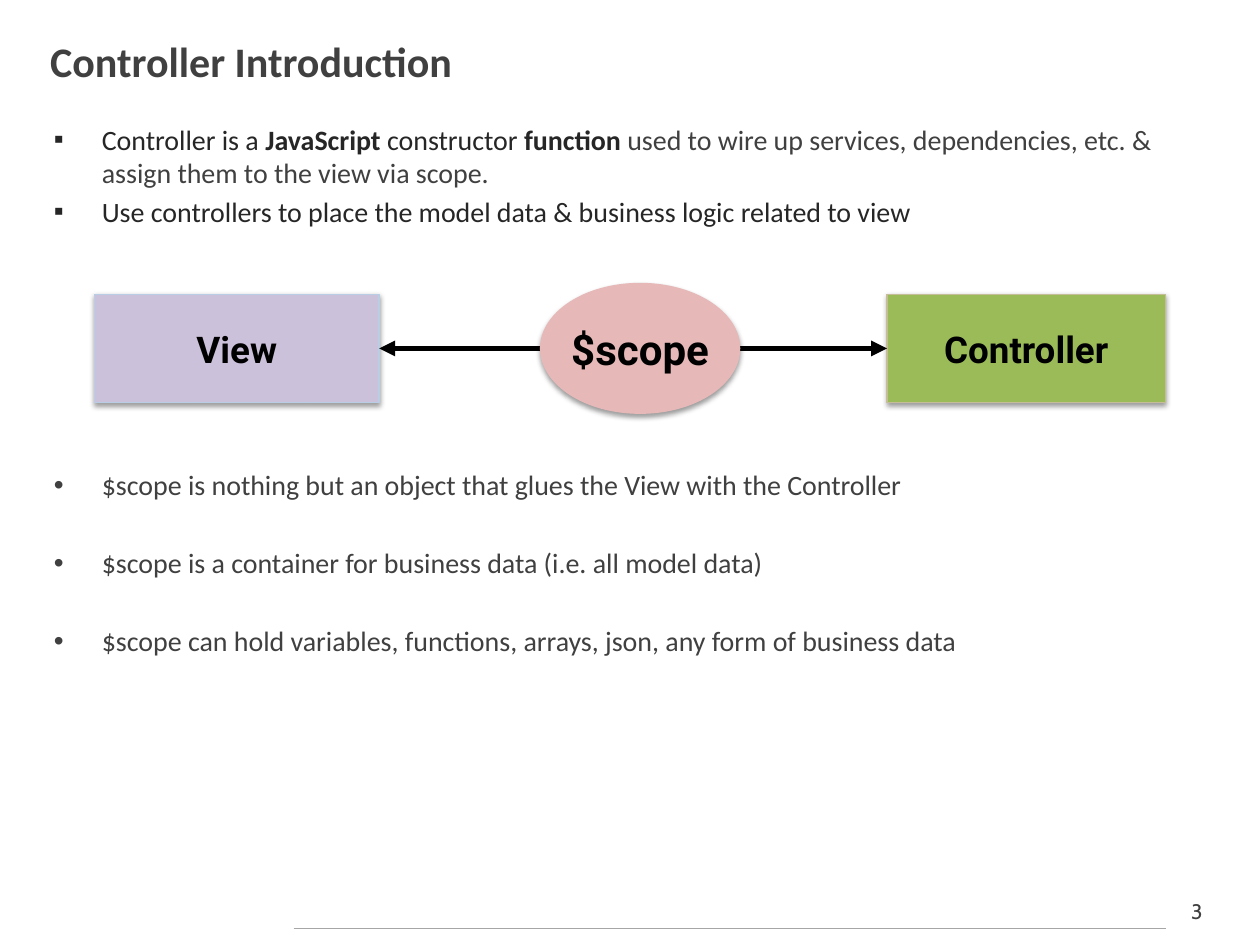
import pptx
import pptx.dml.color
import pptx.enum.shapes
import pptx.enum.text
import pptx.oxml
import pptx.oxml.ns
import pptx.util
from pptx.util import Inches

RGBColor = pptx.dml.color.RGBColor
GRAY = RGBColor(0x40, 0x40, 0x40)
DARK = RGBColor(0x26, 0x26, 0x26)
BLACK = RGBColor(0x00, 0x00, 0x00)
RULE_GRAY = RGBColor(0xA6, 0xA6, 0xA6)
VIEW_FILL = RGBColor(0xCC, 0xC1, 0xDA)
VIEW_LINE = RGBColor(0xB9, 0xCD, 0xE5)
CONTROLLER_FILL = RGBColor(0x9B, 0xBB, 0x59)
CONTROLLER_LINE = RGBColor(0xC4, 0xBD, 0x97)
SCOPE_PINK = RGBColor(0xE6, 0xB9, 0xB8)

NAMESPACE = pptx.oxml.ns.nsdecls("a")
SHADOW_XML = (
    f'<a:outerShdw {NAMESPACE} blurRad="39370" dist="20320" dir="5400000" rotWithShape="0">'
    '<a:srgbClr val="000000"><a:alpha val="38000"/></a:srgbClr></a:outerShdw>'
)

TITLE_FORMAT = {"name": "Calibri", "size": 24, "bold": True, "color": GRAY}
NUMBER_FORMAT = {"name": "Cabin", "size": 12, "color": GRAY}
BODY_FORMAT = {"name": "Calibri", "size": 16, "color": GRAY}
DARK_FORMAT = {**BODY_FORMAT, "color": DARK}
STRONG_FORMAT = {**DARK_FORMAT, "bold": True}
NODE_FORMAT = {"name": "Roboto", "size": 21, "bold": True, "color": BLACK}
SCOPE_FORMAT = {**NODE_FORMAT, "size": 24}

# Each bullet: symbol, points of space before, runs of (text, format).
BULLETS = [
    ("▪", 0, [
        ("Controller is a ", DARK_FORMAT),
        ("JavaScript", STRONG_FORMAT),
        (" constructor", DARK_FORMAT),
        (" function ", STRONG_FORMAT),
        ("used to wire up services, dependencies, etc. & "
         "assign them to the view via scope.", BODY_FORMAT),
    ]),
    ("▪", 3, [("Use controllers to place the model data & business logic "
               "related to view", DARK_FORMAT)]),
    ("•", 137, [("$scope is nothing but an object that glues the View with "
                 "the Controller", BODY_FORMAT)]),
    ("•", 25.4, [("$scope is a container for business data "
                  "(i.e. all model data)", BODY_FORMAT)]),
    ("•", 25.4, [("$scope can hold variables, functions, arrays, json, "
                  "any form of business data", BODY_FORMAT)]),
]


def add_run(paragraph, text, text_format):
    run = paragraph.add_run()
    run.text = text
    for name, value in text_format.items():
        if name == "color":
            run.font.color.rgb = value
        else:
            setattr(run.font, name, pptx.util.Pt(value) if name == "size" else value)


def add_text_box(slide, box):
    frame = slide.shapes.add_textbox(*map(Inches, box)).text_frame
    frame.word_wrap = True
    return frame


def add_title(slide, box):
    frame = add_text_box(slide, box)
    frame.vertical_anchor = pptx.enum.text.MSO_ANCHOR.MIDDLE
    add_run(frame.paragraphs[0], "Controller Introduction", TITLE_FORMAT)


def add_bullets(slide, box):
    frame = add_text_box(slide, box)
    for index, (symbol, space, runs) in enumerate(BULLETS):
        paragraph = frame.add_paragraph() if index else frame.paragraphs[0]
        paragraph.space_before = pptx.util.Pt(space)
        properties = paragraph._p.get_or_add_pPr()
        properties.set("marL", str(Inches(0.38)))
        properties.set("indent", str(-Inches(0.38)))
        for xml in (f'<a:buFont {NAMESPACE} typeface="Arial"/>',
                    f'<a:buChar {NAMESPACE} char="{symbol}"/>'):
            properties.append(pptx.oxml.parse_xml(xml))
        for text, text_format in runs:
            add_run(paragraph, text, text_format)


def add_node(slide, kind, box, text, fill, line, text_format):
    shape = slide.shapes.add_shape(kind, *map(Inches, box))
    shape.fill.solid()
    shape.fill.fore_color.rgb = fill
    shape.line.color.rgb = line
    shape.line.width = pptx.util.Pt(0.75)
    shape.shadow.inherit = False
    effects = shape._element.spPr.find(pptx.oxml.ns.qn("a:effectLst"))
    effects.append(pptx.oxml.parse_xml(SHADOW_XML))
    frame = shape.text_frame
    frame.word_wrap = False
    frame.vertical_anchor = pptx.enum.text.MSO_ANCHOR.MIDDLE
    paragraph = frame.paragraphs[0]
    paragraph.alignment = pptx.enum.text.PP_ALIGN.CENTER
    add_run(paragraph, text, text_format)
    return shape


def add_line(slide, start, end, color, width):
    connector = slide.shapes.add_connector(
        pptx.enum.shapes.MSO_CONNECTOR.STRAIGHT, *map(Inches, start + end))
    connector.line.color.rgb = color
    connector.line.width = pptx.util.Pt(width)
    connector._element.spPr.append(pptx.oxml.parse_xml(f"<a:effectLst {NAMESPACE}/>"))
    return connector


def add_scope_diagram(slide, box):
    """Draw View and Controller joined by a two-way arrow behind $scope."""
    left, top, width, height = box
    view_width, controller_width, node_height = 2.26, 2.21, 0.86
    scope_left, scope_width = left + 3.54, 1.58
    node_top = top + (height - node_height) / 2
    middle = top + height / 2
    controller_left = left + width - controller_width
    shapes = pptx.enum.shapes.MSO_SHAPE

    view = add_node(slide, shapes.RECTANGLE, (left, node_top, view_width, node_height),
                    "View", VIEW_FILL, VIEW_LINE, NODE_FORMAT)
    controller = add_node(slide, shapes.RECTANGLE,
                          (controller_left, node_top, controller_width, node_height),
                          "Controller", CONTROLLER_FILL, CONTROLLER_LINE, NODE_FORMAT)
    arrow = add_line(slide, (controller_left, middle), (left + view_width, middle), BLACK, 3)
    arrow.begin_connect(controller, 1)
    arrow.end_connect(view, 3)
    outline = arrow.line._get_or_add_ln()
    for end in ("headEnd", "tailEnd"):
        outline.append(pptx.oxml.parse_xml(f'<a:{end} {NAMESPACE} type="triangle"/>'))
    add_node(slide, shapes.OVAL, (scope_left, top, scope_width, height),
             "$scope", SCOPE_PINK, SCOPE_PINK, SCOPE_FORMAT)


def add_footer(slide, box):
    left, top, width, height = box
    number_width = 0.5
    rule_right = left + width - number_width
    frame = add_text_box(slide, (rule_right, top, number_width, height))
    paragraph = frame.paragraphs[0]
    paragraph.alignment = pptx.enum.text.PP_ALIGN.CENTER
    add_run(paragraph, "3", NUMBER_FORMAT)
    rule_top = top + 0.29
    add_line(slide, (left, rule_top), (rule_right, rule_top), RULE_GRAY, 0.75)


def main():
    presentation = pptx.Presentation()
    presentation.slide_width = Inches(10)
    presentation.slide_height = Inches(7.5)
    slide = presentation.slides.add_slide(presentation.slide_layouts[6])
    add_footer(slide, (2.33, 7.08, 7.42, 0.3))
    add_title(slide, (0.3, 0.17, 9.36, 0.63))
    add_bullets(slide, (0.33, 0.92, 9.31, 5.98))
    add_scope_diagram(slide, (0.75, 2.25, 8.5, 1.03))
    presentation.save("out.pptx")


if __name__ == "__main__":
    main()
